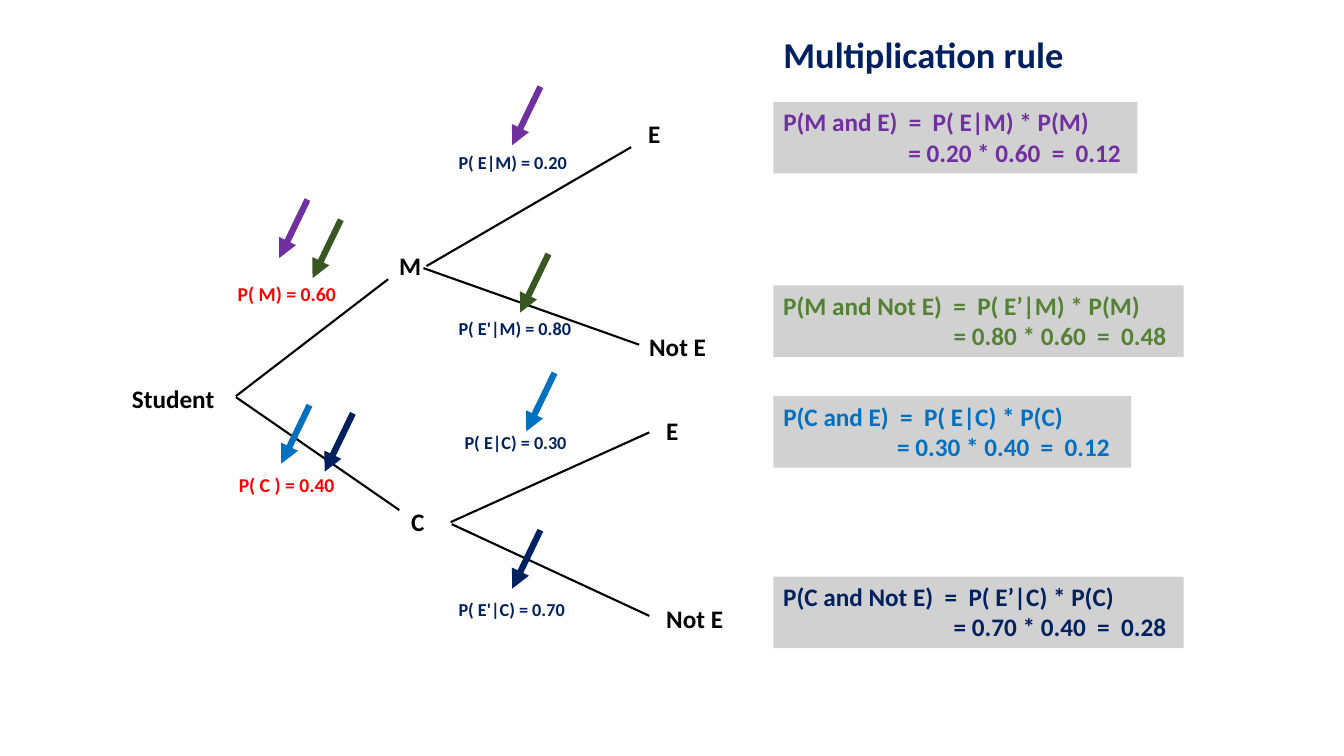
from pptx import Presentation
from pptx import util as u
from pptx.dml.color import RGBColor
from pptx.enum import shapes, text
from pptx.oxml.ns import qn
from lxml import etree

UNIT = u.Inches(0.1)  # one grid column or row
BLACK = RGBColor(0x00, 0x00, 0x00)
RED = RGBColor(0xFF, 0x00, 0x00)
NAVY = RGBColor(0x00, 0x20, 0x60)
PURPLE = RGBColor(0x70, 0x30, 0xA0)
GREEN = RGBColor(0x54, 0x82, 0x35)
FOREST = RGBColor(0x38, 0x57, 0x23)
BLUE = RGBColor(0x00, 0x70, 0xC0)
GREY = RGBColor(0xA5, 0xA5, 0xA5)

NODES = [
    ("Student", 12.1, 37.5, 10.2), ("M", 38.6, 24.3, 5.9),
    ("C", 39.8, 49.7, 4.9), ("E", 63.3, 11.2, 3.6),
    ("Not E", 63.4, 32.4, 8.6), ("E", 65.1, 40.7, 3.6),
    ("Not E", 65.1, 59.4, 8.6),
]
BRANCHES = [
    (23.4, 39.3, 38.5, 27.7), (23.4, 39.4, 39.6, 50.6),
    (42.3, 26.4, 62.6, 14.6), (42, 26.6, 63.4, 34.2),
    (44.7, 51.8, 64.4, 42.9), (44.8, 52, 64.4, 61.1),
]
ODDS = [
    ("P( M) = 0.60", 22.6, 27.5, 14, RED),
    ("P( C ) = 0.40", 22.7, 46.4, 14, RED),
    ("P( E|M) = 0.20", 44.5, 14.5, 13, NAVY),
    ("P( E'|M) = 0.80", 44.5, 31, 13, NAVY),
    ("P( E|C) = 0.30", 45.1, 42.3, 13, NAVY),
    ("P( E'|C) = 0.70", 44.5, 58.9, 13, NAVY),
]
RULES = [
    ("P(M and E)  =  P( E|M) * P(M)", "= 0.20 * 0.60  =  0.12",
     10.1, 36.1, 12.4, PURPLE),
    ("P(M and Not E)  =  P( E’|M) * P(M)", "= 0.80 * 0.60  =  0.48",
     28.3, 40.7, 16.9, GREEN),
    ("P(C and E)  =  P( E|C) * P(C)", "= 0.30 * 0.40  =  0.12",
     39.3, 35.5, 11.3, BLUE),
    ("P(C and Not E)  =  P( E’|C) * P(C)", "= 0.70 * 0.40  =  0.28",
     57.2, 40.7, 16.9, NAVY),
]
ARROWS = [
    (PURPLE, 30.5, 19.8), (PURPLE, 53.6, 8.6),
    (FOREST, 33.8, 21.8), (FOREST, 54.4, 25.2),
    (BLUE, 30.7, 40.2), (BLUE, 55, 37),
    (NAVY, 35, 41), (NAVY, 53.6, 52.6),
]
RULE_COL = 76.7


def grid(*cells):
    return [round(c * UNIT) for c in cells]


def write(para, words, size, color):
    run = para.add_run()
    run.text = words
    font = run.font
    font.name, font.size, font.bold = "Calibri", u.Pt(size), True
    font.color.rgb = color


def frame(shape):
    """Return the shape's text frame, set to wrap from the top left."""
    tf = shape.text_frame
    tf.word_wrap = True
    tf.auto_size = text.MSO_AUTO_SIZE.NONE
    tf.vertical_anchor = text.MSO_ANCHOR.TOP
    tf.margin_right = 0
    tf.paragraphs[0].alignment = text.PP_ALIGN.LEFT
    return tf


def label(slide, words, col, row, wide, size, color):
    box = slide.shapes.add_textbox(*grid(col, row, wide, 4))
    write(frame(box).paragraphs[0], words, size, color)


def line(slide, ends, color, width):
    link = slide.shapes.add_connector(
        shapes.MSO_CONNECTOR.STRAIGHT, *grid(*ends))
    link.line.color.rgb = color
    link.line.width = u.Pt(width)
    etree.SubElement(link._element.spPr, qn("a:effectLst"))
    return link


def arrow(slide, color, col, row):
    link = line(slide, (col, row, col - 2.8, row + 5.8), color, 4.5)
    etree.SubElement(link.line._get_or_add_ln(), qn("a:tailEnd"),
                     type="triangle")


def rule(slide, top, result, row, wide, indent, color):
    """Draw a see-through panel with a formula and its indented result."""
    box = slide.shapes.add_shape(
        shapes.MSO_SHAPE.RECTANGLE, *grid(RULE_COL, row, wide, 7.1))
    box.shadow.inherit = False
    box.line.fill.background()
    box.fill.solid()
    box.fill.fore_color.rgb = GREY
    tint = box._element.spPr.find(".//" + qn("a:srgbClr"))
    etree.SubElement(tint, qn("a:alpha"), val="50000")
    tf = frame(box)
    write(tf.paragraphs[0], top, 18, color)
    para = tf.add_paragraph()
    para.alignment = text.PP_ALIGN.LEFT
    para._p.get_or_add_pPr().set("marL", str(grid(indent)[0]))
    write(para, result, 18, color)


def title(slide, words):
    box = slide.shapes.title
    box.left, box.top, box.width, box.height = grid(RULE_COL, 2.7, 32, 5.4)
    write(frame(box).paragraphs[0], words, 26, NAVY)


def main():
    deck = Presentation()
    deck.slide_width, deck.slide_height = u.Inches(13.33), u.Inches(7.5)
    slide = deck.slides.add_slide(deck.slide_layouts.get_by_name("Title Only"))
    title(slide, "Multiplication rule")
    for ends in BRANCHES:
        line(slide, ends, BLACK, 1.5)
    for words, col, row, wide in NODES:
        label(slide, words, col, row, wide, 18, BLACK)
    for words, col, row, size, color in ODDS:
        label(slide, words, col, row, 13.3, size, color)
    for item in RULES:
        rule(slide, *item)
    for item in ARROWS:
        arrow(slide, *item)
    deck.save("out.pptx")


if __name__ == "__main__":
    main()
